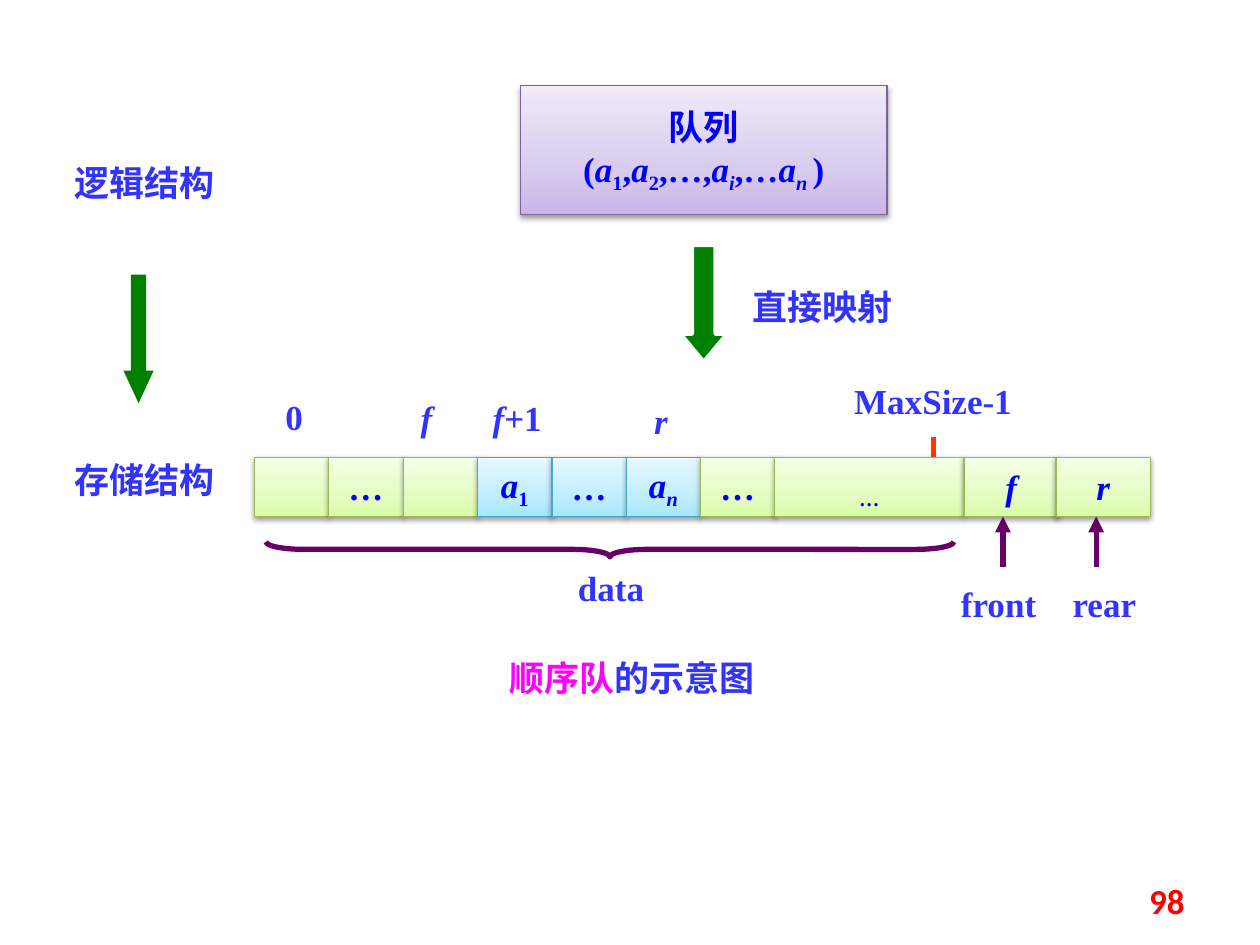
import copy

import lxml.etree
import pptx
import pptx.dml.color
import pptx.enum.shapes
import pptx.enum.text
import pptx.oxml
import pptx.oxml.ns
import pptx.util

Inches = pptx.util.Inches
Pt = pptx.util.Pt
RGBColor = pptx.dml.color.RGBColor
Shape = pptx.enum.shapes.MSO_SHAPE
Align = pptx.enum.text.PP_ALIGN
Anchor = pptx.enum.text.MSO_ANCHOR
qn = pptx.oxml.ns.qn

INK = RGBColor(0x00, 0x00, 0xFF)
LABEL = RGBColor(0x33, 0x33, 0xFF)
MAGENTA = RGBColor(0xFF, 0x00, 0xFF)
RED = RGBColor(0xFF, 0x00, 0x00)
TICK = RGBColor(0xFF, 0x33, 0x00)
PLUM = RGBColor(0x66, 0x00, 0x66)
ARROW_GREEN = RGBColor(0x00, 0x80, 0x00)
WHITE = RGBColor(0xFF, 0xFF, 0xFF)

# Each theme: gradient from bottom to top, then the outline
PURPLE = ((RGBColor(0xC9, 0xB5, 0xE8), RGBColor(0xD8, 0xCB, 0xEE),
           RGBColor(0xF0, 0xEA, 0xF9)), RGBColor(0x7D, 0x60, 0xA0))
GREEN = ((RGBColor(0xDA, 0xFD, 0xA7), RGBColor(0xE4, 0xFC, 0xC2),
          RGBColor(0xF5, 0xFF, 0xE7)), RGBColor(0x98, 0xB9, 0x55))
BLUE = ((RGBColor(0xA7, 0xE6, 0xFF), RGBColor(0xC1, 0xED, 0xFF),
         RGBColor(0xE7, 0xF8, 0xFF)), RGBColor(0x46, 0xAA, 0xC5))

SHADOW = (
    '<a:effectLst xmlns:a="http://schemas.openxmlformats.org/drawingml/2006/main">'
    '<a:outerShdw blurRad="40000" dist="20000" dir="5400000" rotWithShape="0">'
    '<a:srgbClr val="000000"><a:alpha val="38000"/></a:srgbClr>'
    '</a:outerShdw></a:effectLst>')

CELL_TOP, CELL_HEIGHT, CELL_WIDTH = 3.63, 0.47, 0.59
ARRAY_LEFT = 2.02


def write(para, spans, color, align=Align.CENTER, font="Times New Roman"):
    """Fill a paragraph with (text, style) spans; style i is italic, _ is subscript."""
    para.alignment = align
    for text, style in spans:
        span = para.add_run()
        span.text = text
        span.font.size = Pt(20)
        span.font.name = font
        span.font.bold = True
        span.font.italic = "i" in style
        span.font.color.rgb = color
        if "_" in style:
            span._r.get_or_add_rPr().set("baseline", "-25000")


def add_panel(page, left, top, width, height, theme, lines=()):
    """Add a shaded rectangle with a soft shadow and centred lines of spans."""
    colors, outline = theme
    box = page.shapes.add_shape(Shape.RECTANGLE, Inches(left), Inches(top),
                                Inches(width), Inches(height))
    box.fill.gradient()
    box.fill.gradient_angle = 90
    stop_list = box._element.spPr.find(".//" + qn("a:gsLst"))
    stop_list.append(copy.deepcopy(stop_list[0]))
    for stop, color, position in zip(box.fill.gradient_stops, colors, (0, 0.35, 1)):
        stop.color.rgb = color
        stop.position = position
    box.line.color.rgb = outline
    box.line.width = Pt(0.75)
    box._element.spPr.append(pptx.oxml.parse_xml(SHADOW))

    frame = box.text_frame
    frame.word_wrap = False
    frame.vertical_anchor = Anchor.MIDDLE
    for number, spans in enumerate(lines):
        para = frame.add_paragraph() if number else frame.paragraphs[0]
        write(para, spans, INK)


def add_label(page, left, top, width, spans, height=0.43):
    box = page.shapes.add_textbox(Inches(left), Inches(top), Inches(width), Inches(height))
    frame = box.text_frame
    frame.word_wrap = True
    frame.auto_size = pptx.enum.text.MSO_AUTO_SIZE.SHAPE_TO_FIT_TEXT
    write(frame.paragraphs[0], spans, LABEL)
    return frame.paragraphs[0]


def add_down_arrow(page, left, top, width, height, head):
    arrow = page.shapes.add_shape(Shape.DOWN_ARROW, Inches(left), Inches(top),
                                  Inches(width), Inches(height))
    arrow.adjustments[1] = head
    arrow.shadow.inherit = False
    arrow.fill.solid()
    arrow.fill.fore_color.rgb = ARROW_GREEN
    arrow.line.fill.background()
    return arrow


def add_line(page, x, start, end, color, arrowhead=False):
    """Add a vertical line, with an arrowhead at its end if asked."""
    line = page.shapes.add_connector(pptx.enum.shapes.MSO_CONNECTOR.STRAIGHT,
                                     Inches(x), Inches(start), Inches(x), Inches(end))
    line.line.color.rgb = color
    line.line.width = Pt(3)
    properties = line._element.spPr
    if arrowhead:
        lxml.etree.SubElement(properties.find(qn("a:ln")), qn("a:tailEnd"), type="triangle")
    lxml.etree.SubElement(properties, qn("a:effectLst"))


def add_brace(page):
    brace = page.shapes.add_shape(Shape.RIGHT_BRACE, Inches(4.78), Inches(1.63),
                                  Inches(0.12), Inches(5.46))
    brace.rotation = 90
    brace.adjustments[0] = 2.49
    brace.shadow.inherit = False
    brace.fill.background()
    brace.line.color.rgb = PLUM
    brace.line.width = Pt(3)


def add_array(page):
    dots = [("…", "")]
    cells = [
        (GREEN, []), (GREEN, dots), (GREEN, []),
        (BLUE, [("a", "i"), ("1", "_")]), (BLUE, dots), (BLUE, [("a", "i"), ("n", "i_")]),
        (GREEN, dots),
    ]
    for number, (theme, spans) in enumerate(cells):
        add_panel(page, ARRAY_LEFT + number * CELL_WIDTH, CELL_TOP,
                  CELL_WIDTH, CELL_HEIGHT, theme, [spans])
    for left, width, span in ((6.15, 1.5, ("…", "_")), (7.65, 0.75, ("f", "i")),
                              (8.38, 0.75, ("r", "i"))):
        add_panel(page, left, CELL_TOP, width, CELL_HEIGHT, GREEN, [[span]])


def add_page_number(page):
    box = page.shapes.add_textbox(Inches(7.17), Inches(6.95), Inches(2.33), Inches(0.4))
    box.text_frame.word_wrap = True
    box.text_frame.vertical_anchor = Anchor.MIDDLE
    write(box.text_frame.paragraphs[0], [("98", "")], RED, Align.RIGHT, "Calibri")


def main():
    deck = pptx.Presentation()
    deck.slide_width, deck.slide_height = Inches(10), Inches(7.5)
    page = deck.slides.add_slide(deck.slide_layouts[6])

    add_panel(page, 4.13, 0.68, 2.91, 1.02, PURPLE, [
        [("队列", "")],
        [("(", ""), ("a", "i"), ("1", "_"), (",", ""), ("a", "i"), ("2", "_"),
         (",…,", ""), ("a", "i"), ("i", "i_"), (",…", ""), ("a", "i"),
         ("n ", "i_"), (")", "")],
    ])
    mapping_arrow = add_down_arrow(page, 5.39, 1.94, 0.39, 0.94, 0.6)
    mapping_arrow.line.color.rgb = WHITE
    mapping_arrow.line.width = Pt(3)
    add_down_arrow(page, 0.98, 2.18, 0.24, 1.02, 1.08)

    add_array(page)
    add_line(page, 7.41, 3.47, CELL_TOP, TICK)
    add_brace(page)
    for x in (7.96, 8.7):
        add_line(page, x, 4.5, CELL_TOP + CELL_HEIGHT, PLUM, arrowhead=True)

    for left, top, width, text, style in (
            (5.78, 2.22, 1.5, "直接映射", ""),
            (6.58, 2.96, 1.65, "MaxSize-1", ""),
            (2.06, 3.09, 0.55, "0", ""),
            (3.11, 3.1, 0.55, "f", "i"),
            (4.89, 3.12, 0.71, "r", "i"),
            (4.3, 4.45, 1.1, "data", ""),
            (7.49, 4.57, 0.87, "front", ""),
            (8.33, 4.57, 0.87, "rear", ""),
            (0.2, 1.23, 1.89, "逻辑结构", ""),
            (0.2, 3.59, 1.89, "存储结构", "")):
        add_label(page, left, top, width, [(text, style)])
    add_label(page, 3.71, 3.1, 0.79, [("f", "i"), ("+1", "")])
    caption = add_label(page, 3.75, 5.16, 2.53, [("顺序队", ""), ("的示意图", "")], 0.44)
    caption.runs[0].font.color.rgb = MAGENTA
    add_page_number(page)

    deck.save("out.pptx")


if __name__ == "__main__":
    main()
